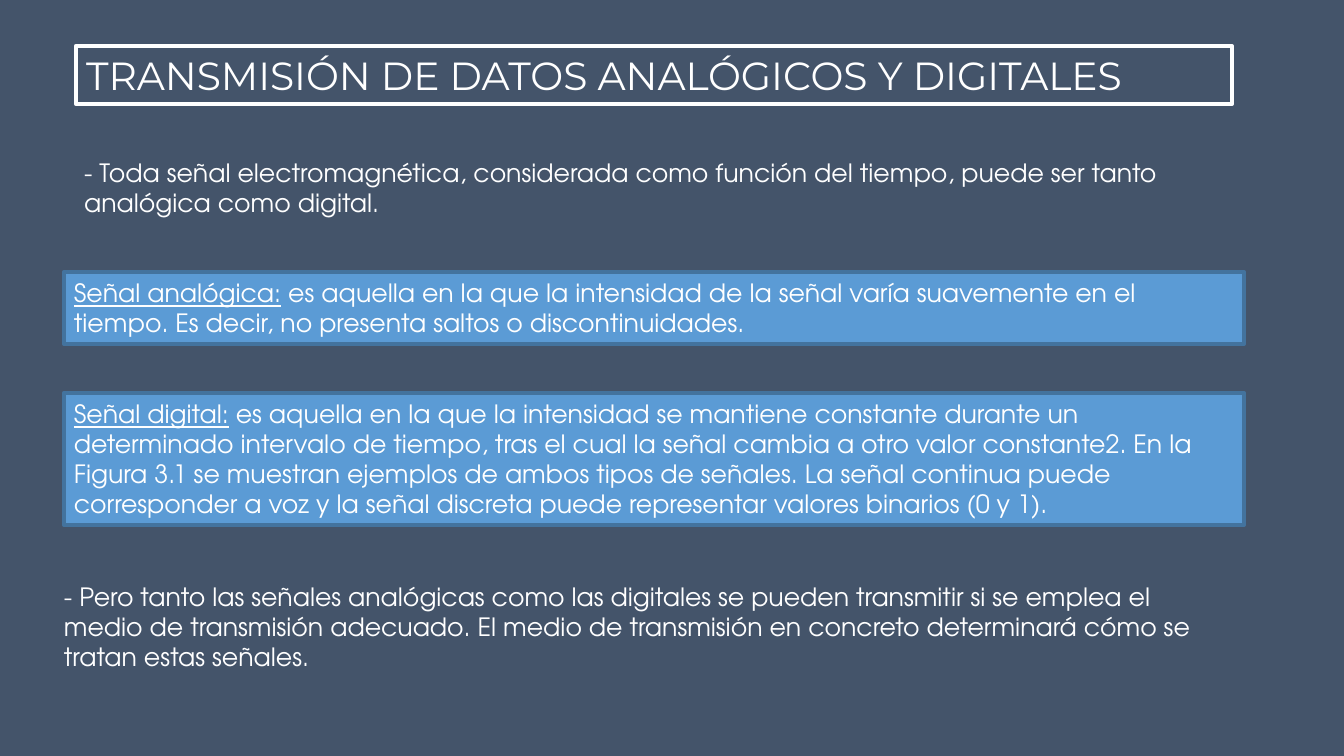
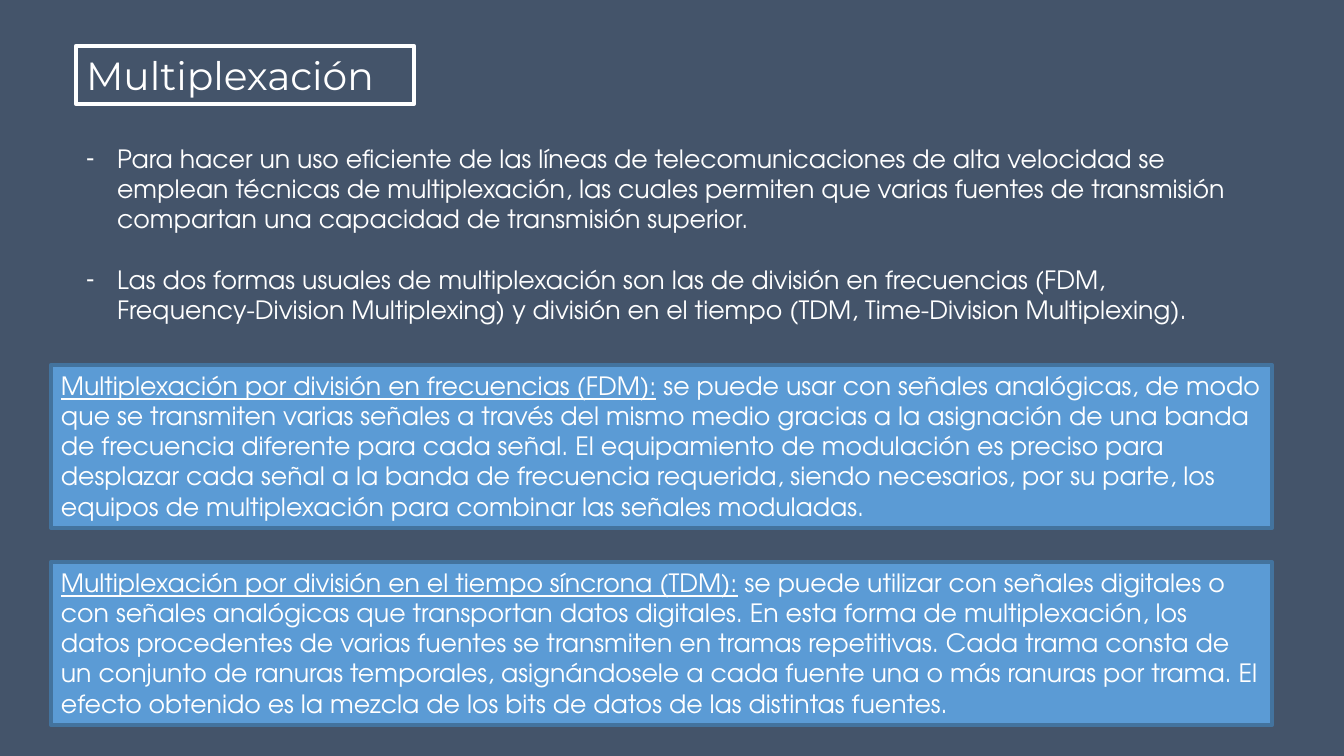
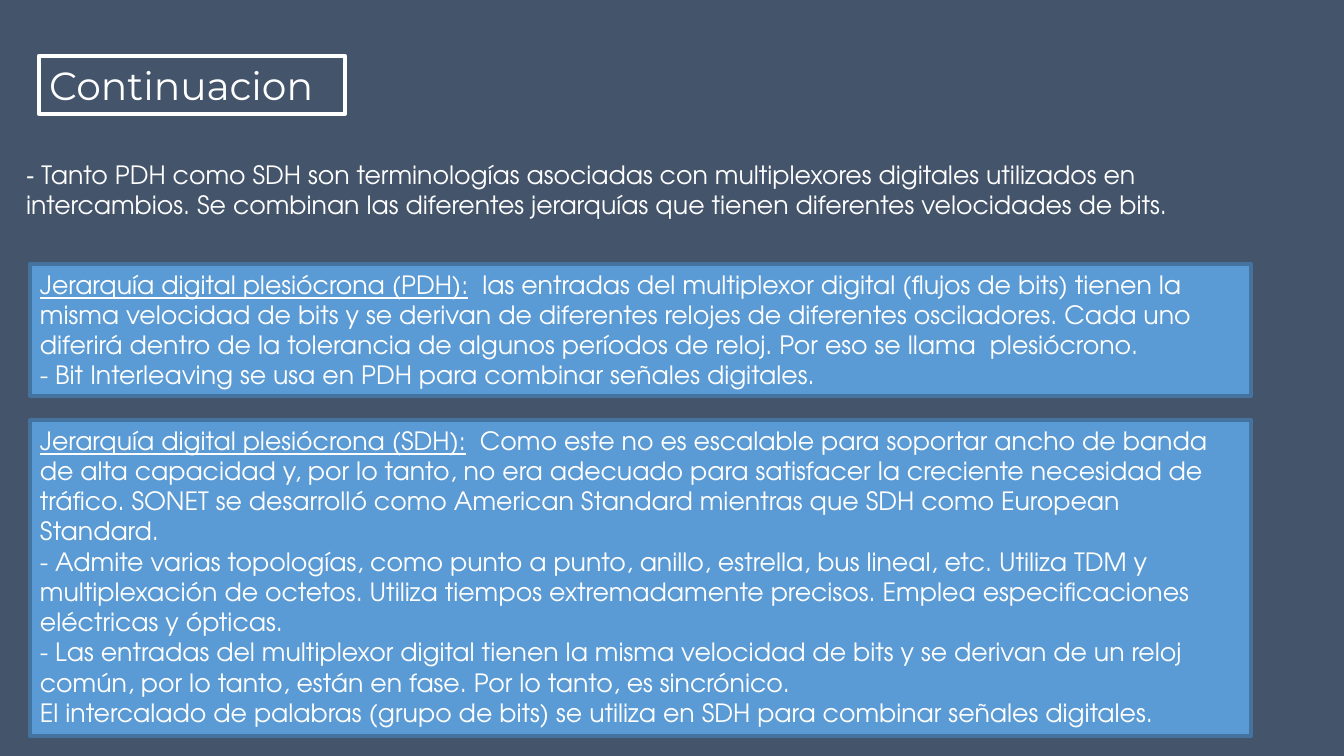
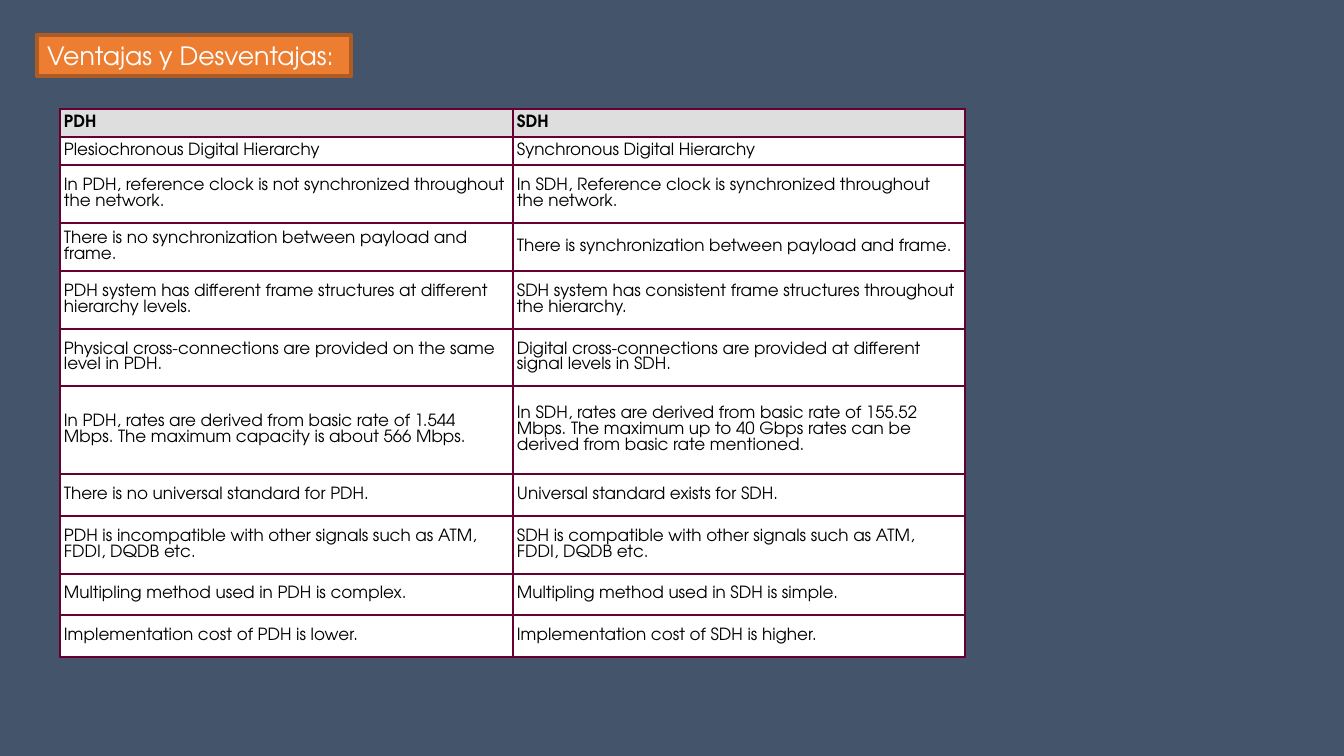
"""Build four slides on analog and digital data transmission and multiplexing."""
from lxml.etree import SubElement
from pptx import Presentation
from pptx.dml.color import RGBColor
from pptx.enum.shapes import MSO_SHAPE as Preset
from pptx.enum.text import MSO_ANCHOR as Anchor, MSO_AUTO_SIZE as AutoSize, PP_ALIGN as Align
from pptx.oxml.ns import qn
from pptx.util import Emu, Pt

COLORS = {
    "background": "44546A", "white": "FFFFFF", "black": "000000",
    "card": "5B9BD5", "card_edge": "43739E",
    "accent": "ED7D31", "accent_edge": "AF5C24",
    "header": "DEDEDE", "grid": "660033",
}
COLOR = {name: RGBColor.from_string(value) for name, value in COLORS.items()}
TITLE_FONT, TEXT_FONT, DASH_FONT = "Montserrat", "TeX Gyre Adventor", "Arial"
SCALE = 914400 / 100.8
TITLE_AND_BODY, TITLE_ONLY = 1, 5


def px(length):
    return Emu(round(length * SCALE))


def write(box, place, paragraphs, size=18, font=TEXT_FONT, bullet=None, anchor=Anchor.TOP):
    box.left, box.top, box.width, box.height = map(px, place)
    frame = box.text_frame
    frame.word_wrap = True
    frame.auto_size = AutoSize.NONE
    frame.vertical_anchor = anchor
    for index, runs in enumerate(paragraphs):
        para = frame.add_paragraph() if index else frame.paragraphs[0]
        props = para._p.get_or_add_pPr()
        indent = px(31) if bullet else 0
        props.set("marL", str(indent))
        props.set("indent", str(-indent))
        if bullet:
            SubElement(props, qn("a:buChar")).set("char", bullet)
        else:
            SubElement(props, qn("a:buNone"))
        para.alignment = Align.LEFT
        para.space_before = Pt(21.6) if bullet and index else Pt(0)
        for text, style in runs:
            span = para.add_run()
            span.text = text
            span.font.name = DASH_FONT if style == "dash" else font
            span.font.size = Pt(size)
            span.font.color.rgb = COLOR["white"]
            span.font.underline = style == "term"


pages = [
    {
        "title": "TRANSMISIÓN DE DATOS ANALÓGICOS Y DIGITALES",
        "title_place": (76, 46, 1156, 58),
        "body_place": (74, 152, 1160, 72),
        "bullet": None,
        "body": [[("- Toda señal electromagnética, considerada como función del tiempo, puede ser tanto analógica como digital.", "plain")]],
        "cards": [
            ((64, 272, 1180, 72), [[
                ("Señal analógica:", "term"),
                (" es aquella en la que la intensidad de la señal varía suavemente en el tiempo. Es decir, no presenta saltos o discontinuidades.", "plain"),
            ]]),
            ((64, 393, 1180, 132), [[
                ("Señal digital:", "term"),
                (" es aquella en la que la intensidad se mantiene constante durante un determinado intervalo de tiempo, tras el cual la señal cambia a otro valor constante2. En la Figura 3.1 se muestran ejemplos de ambos tipos de señales. La señal continua puede corresponder a voz y la señal discreta puede representar valores binarios (0 y 1).", "plain"),
            ]]),
        ],
        "closing": [
            ((54, 576, 1189, 102), [[
                ("- Pero tanto las señales analógicas como las digitales se pueden transmitir si se emplea el medio de transmisión adecuado. El medio de transmisión en concreto determinará cómo se tratan estas señales.", "plain"),
            ]]),
        ],
    },
    {
        "title": "Multiplexación",
        "title_place": (76, 46, 338, 58),
        "body_place": (76, 138, 1171, 194),
        "bullet": "-",
        "body": [
            [("Para hacer un uso eficiente de las líneas de telecomunicaciones de alta velocidad se emplean técnicas de multiplexación, las cuales permiten que varias fuentes de transmisión compartan una capacidad de transmisión superior.", "plain")],
            [("Las dos formas usuales de multiplexación son las de división en frecuencias (FDM, Frequency-Division Multiplexing) y división en el tiempo (TDM, Time-Division Multiplexing).", "plain")],
        ],
        "cards": [
            ((51, 365, 1221, 163), [[
                ("Multiplexación por división en frecuencias (FDM):", "term"),
                (" se puede usar con señales analógicas, de modo que se transmiten varias señales a través del mismo medio gracias a la asignación de una banda de frecuencia diferente para cada señal. El equipamiento de modulación es preciso para desplazar cada señal a la banda de frecuencia requerida, siendo necesarios, por su parte, los equipos de multiplexación para combinar las señales moduladas.", "plain"),
            ]]),
            ((51, 562, 1221, 163), [[
                ("Multiplexación por división en el tiempo síncrona (TDM):", "term"),
                (" se puede utilizar con señales digitales o con señales analógicas que transportan datos digitales. En esta forma de multiplexación, los datos procedentes de varias fuentes se transmiten en tramas repetitivas. Cada trama consta de un conjunto de ranuras temporales, asignándosele a cada fuente una o más ranuras por trama. El efecto obtenido es la mezcla de los bits de datos de las distintas fuentes.", "plain"),
            ]]),
        ],
        "closing": [],
    },
    {
        "title": "Continuacion",
        "title_place": (39, 56, 306, 58),
        "body_place": (16, 154, 1249, 72),
        "bullet": None,
        "body": [[
            ("- ", "dash"),
            ("Tanto PDH como SDH son terminologías asociadas con multiplexores digitales utilizados en intercambios. Se combinan las diferentes jerarquías que tienen diferentes velocidades de bits.", "plain"),
        ]],
        "cards": [
            ((30, 264, 1221, 132), [
                [
                    ("Jerarquía digital plesiócrona (PDH):", "term"),
                    ("  las entradas del multiplexor digital (flujos de bits) tienen la misma velocidad de bits y se derivan de diferentes relojes de diferentes osciladores. Cada uno diferirá dentro de la tolerancia de algunos períodos de reloj. Por eso se llama  plesiócrono.", "plain"),
                ],
                [("- Bit Interleaving se usa en PDH para combinar señales digitales.", "plain")],
            ]),
            ((30, 420, 1221, 316), [
                [
                    ("Jerarquía digital plesiócrona (SDH):", "term"),
                    ("  Como este no es escalable para soportar ancho de banda de alta capacidad y, por lo tanto, no era adecuado para satisfacer la creciente necesidad de tráfico. SONET se desarrolló como American Standard mientras que SDH como European Standard.", "plain"),
                ],
                [("- Admite varias topologías, como punto a punto, anillo, estrella, bus lineal, etc. Utiliza TDM y multiplexación de octetos. Utiliza tiempos extremadamente precisos. Emplea especificaciones eléctricas y ópticas.", "plain")],
                [("- Las entradas del multiplexor digital tienen la misma velocidad de bits y se derivan de un reloj común, por lo tanto, están en fase. Por lo tanto, es sincrónico.", "plain")],
                [("El intercalado de palabras (grupo de bits) se utiliza en SDH para combinar señales digitales.", "plain")],
            ]),
        ],
        "closing": [],
    },
]

comparison = [
    (28, "PDH", "SDH"),
    (28, "Plesiochronous Digital Hierarchy", "Synchronous Digital Hierarchy"),
    (58, "In PDH, reference clock is not synchronized throughout the network.",
     "In SDH, Reference clock is synchronized throughout the network."),
    (48, "There is no synchronization between payload and frame.",
     "There is synchronization between payload and frame."),
    (58, "PDH system has different frame structures at different hierarchy levels.",
     "SDH system has consistent frame structures throughout the hierarchy."),
    (57, "Physical cross-connections are provided on the same level in PDH.",
     "Digital cross-connections are provided at different signal levels in SDH."),
    (88, "In PDH, rates are derived from basic rate of 1.544 Mbps. The maximum capacity is about 566 Mbps.",
     "In SDH, rates are derived from basic rate of 155.52 Mbps. The maximum up to 40 Gbps rates can be derived from basic rate mentioned."),
    (42, "There is no universal standard for PDH.", "Universal standard exists for SDH."),
    (58, "PDH is incompatible with other signals such as ATM, FDDI, DQDB etc.",
     "SDH is compatible with other signals such as ATM, FDDI, DQDB etc."),
    (41, "Multipling method used in PDH is complex.", "Multipling method used in SDH is simple."),
    (42, "Implementation cost of PDH is lower.", "Implementation cost of SDH is higher."),
]

deck = Presentation()
deck.slide_width, deck.slide_height = px(1344), px(756)
backdrop = deck.slide_master.background.fill
backdrop.solid()
backdrop.fore_color.rgb = COLOR["background"]

for content in pages:
    page = deck.slides.add_slide(deck.slide_layouts[TITLE_AND_BODY])
    title, body = page.placeholders
    write(title, content["title_place"], [[(content["title"], "plain")]], 28, TITLE_FONT, anchor=Anchor.MIDDLE)
    title.line.color.rgb = COLOR["white"]
    title.line.width = Pt(3)
    write(body, content["body_place"], content["body"], bullet=content["bullet"])
    for place, paragraphs in content["cards"]:
        card = page.shapes.add_shape(Preset.RECTANGLE, *map(px, place))
        card.shadow.inherit = False
        card.fill.solid()
        card.fill.fore_color.rgb = COLOR["card"]
        card.line.color.rgb = COLOR["card_edge"]
        card.line.width = Pt(3)
        write(card, place, paragraphs)
    for place, paragraphs in content["closing"]:
        write(page.shapes.add_textbox(*map(px, place)), place, paragraphs)

page = deck.slides.add_slide(deck.slide_layouts[TITLE_ONLY])
title = page.shapes.title
write(title, (37, 35, 314, 41), [[("Ventajas y Desventajas:", "plain")]], anchor=Anchor.MIDDLE)
title.fill.solid()
title.fill.fore_color.rgb = COLOR["accent"]
title.line.color.rgb = COLOR["accent_edge"]
title.line.width = Pt(3)

table_height = sum(height for height, *_ in comparison)
table = page.shapes.add_table(len(comparison), 2, px(60), px(109), px(905), px(table_height)).table
table.first_row = table.horz_banding = False
for column, width in zip(table.columns, (453, 452)):
    column.width = px(width)
for row_index, (height, *texts) in enumerate(comparison):
    table.rows[row_index].height = px(height)
    for column_index, text in enumerate(texts):
        cell = table.cell(row_index, column_index)
        cell.vertical_anchor = Anchor.MIDDLE
        cell.margin_left = cell.margin_right = cell.margin_top = cell.margin_bottom = px(4)
        props = cell._tc.get_or_add_tcPr()
        for side in ("a:lnL", "a:lnR", "a:lnT", "a:lnB"):
            border = SubElement(props, qn(side), w=str(Pt(1.5)))
            paint = SubElement(border, qn("a:solidFill"))
            SubElement(paint, qn("a:srgbClr"), val=COLORS["grid"])
        cell.fill.solid()
        cell.fill.fore_color.rgb = COLOR["white" if row_index else "header"]
        span = cell.text_frame.paragraphs[0].add_run()
        span.text = text
        span.font.name = TEXT_FONT
        span.font.size = Pt(12)
        span.font.bold = row_index == 0
        span.font.color.rgb = COLOR["black"]

deck.save("out.pptx")
